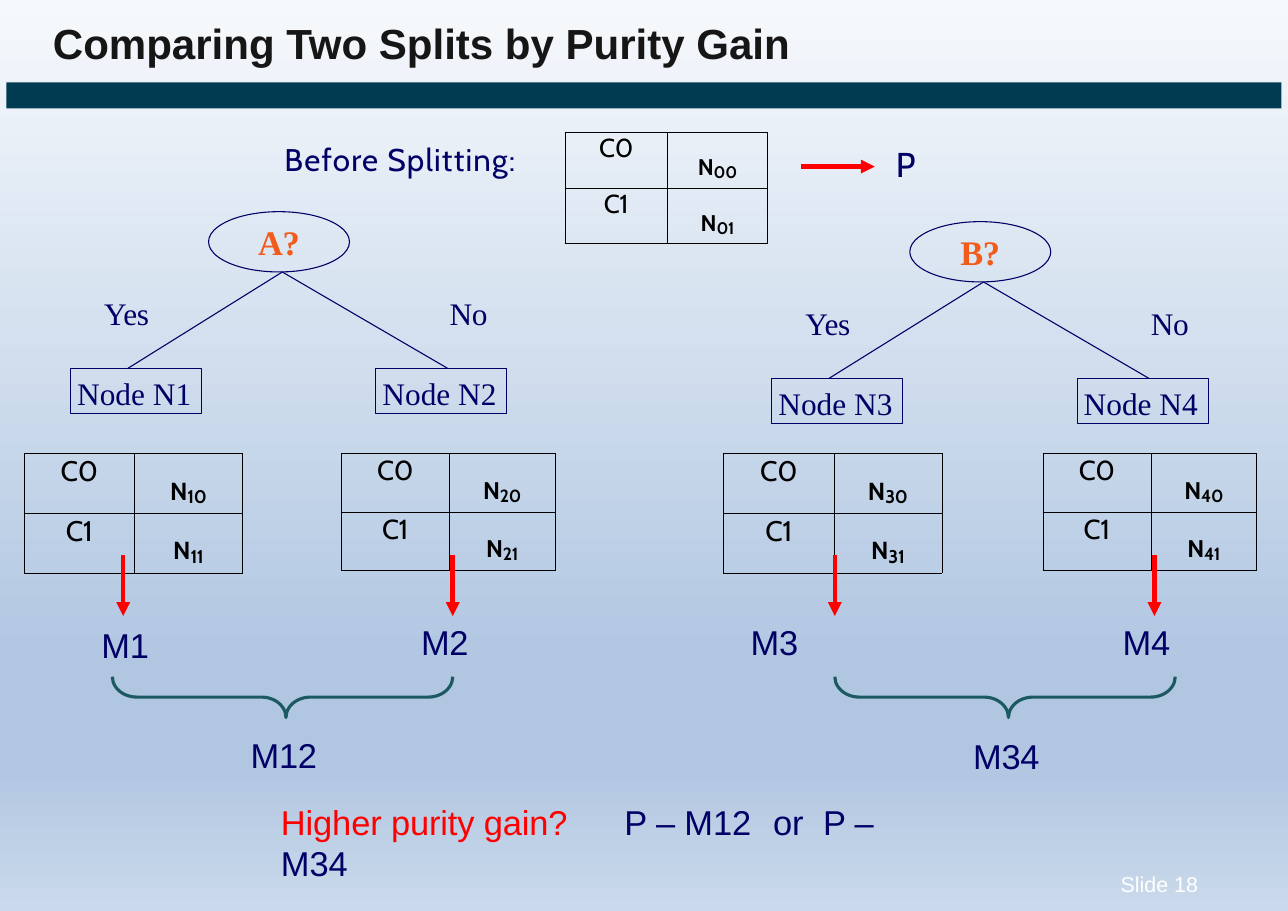
from lxml import etree
from pptx import Presentation
from pptx.dml.color import RGBColor
from pptx.enum.shapes import MSO_CONNECTOR, MSO_SHAPE
from pptx.enum.text import MSO_ANCHOR, PP_ALIGN
from pptx.oxml.ns import qn
from pptx.util import Cm, Pt

STRAIGHT = MSO_CONNECTOR.STRAIGHT
RECT, OVAL, BRACE = MSO_SHAPE.RECTANGLE, MSO_SHAPE.OVAL, MSO_SHAPE.RIGHT_BRACE
TOP, MIDDLE = MSO_ANCHOR.TOP, MSO_ANCHOR.MIDDLE
LEFT, CENTER = PP_ALIGN.LEFT, PP_ALIGN.CENTER

NAVY, RED, BLACK, WHITE = "000066", "FF0000", "000000", "FFFFFF"
ORANGE, TEAL, PETROL, INK = "F25B1A", "1C5960", "003B52", "161616"
SANS, SERIF, CABIN = "Arial", "Times New Roman", "Cabin"
BACKGROUND = [(0, "F6F9FC"), (74, "B0C6E1"), (83, "B0C6E1"), (100, "CAD9EB")]


def rgb(color):
    return RGBColor.from_string(color)


def style(r, size, font=SANS, color=NAVY, bold=False, spacing=-0.2):
    r.font.size, r.font.name, r.font.bold = Pt(size), font, bold
    r.font.color.rgb = rgb(color)
    r._r.get_or_add_rPr().set("spc", str(round(spacing * 100)))


def frame(tf, left=0.03, top=0.1, anchor=TOP):
    tf.word_wrap = True
    tf.vertical_anchor = anchor
    tf.margin_left, tf.margin_top = Cm(left), Cm(top)
    tf.margin_right = tf.margin_bottom = 0


def label(s, text, x, y, w, h=1.04, size=22.5, top=0.1, **look):
    tf = s.shapes.add_textbox(Cm(x), Cm(y), Cm(w), Cm(h)).text_frame
    frame(tf, top=top)
    tf.text = text
    style(tf.paragraphs[0].runs[0], size, **look)


def outline(s, kind, x, y, w, h, color=NAVY, width=0.72):
    sp = s.shapes.add_shape(kind, Cm(x), Cm(y), Cm(w), Cm(h))
    sp.shadow.inherit = False
    sp.fill.background()
    sp.line.color.rgb = rgb(color)
    sp.line.width = Pt(width)
    return sp


def line(s, x1, y1, x2, y2, color=NAVY, width=0.72, arrow=False):
    c = s.shapes.add_connector(STRAIGHT, Cm(x1), Cm(y1), Cm(x2), Cm(y2))
    c.line.color.rgb = rgb(color)
    c.line.width = Pt(width)
    if arrow:
        etree.SubElement(c.line._get_or_add_ln(), qn("a:tailEnd"), type="triangle")
    etree.SubElement(c._element.spPr, qn("a:effectLst"))


def gradient_background(s):
    fill = s.background.fill
    fill.gradient()
    fill.gradient_angle = 270
    stops = s._element.find(".//" + qn("a:gsLst"))
    for stop in list(stops):
        stops.remove(stop)
    for percent, color in BACKGROUND:
        stop = etree.SubElement(stops, qn("a:gs"), pos=str(percent * 1000))
        etree.SubElement(stop, qn("a:srgbClr"), val=color)


def header(s, x, y, w):
    bar = outline(s, RECT, x, y + 1.6, w, 0.6)
    bar.fill.solid()
    bar.fill.fore_color.rgb = rgb(PETROL)
    bar.line.fill.background()
    title = s.shapes.title
    title.left, title.top, title.width, title.height = Cm(x + 1.04), Cm(y), Cm(25.53), Cm(1.32)
    tf = title.text_frame
    frame(tf)
    tf.text = "Comparing Two Splits by Purity Gain"
    p = tf.paragraphs[0]
    p.alignment = LEFT
    style(p.runs[0], 27.5, color=INK, bold=True, spacing=0)


def split_tree(s, x, y, question, nodes):
    """Draw a question with its Yes and No branches leading to two nodes."""
    tf = outline(s, OVAL, x + 3.18, y, 3.25, 1.39).text_frame
    frame(tf, left=0, top=0, anchor=MIDDLE)
    tf.text = question
    tf.paragraphs[0].alignment = CENTER
    style(tf.paragraphs[0].runs[0], 22.5, SERIF, ORANGE, True)
    branches = [("Yes", 0.74, 1.32, 0), ("No", 8.71, 8.69, 7.04)]
    for node, (answer, text_x, end_x, node_x) in zip(nodes, branches):
        line(s, x + 4.88, y + 1.39, x + end_x, y + 3.61)
        label(s, answer, x + text_x, y + 1.8, 1.2, 0.97, 20.5, font=SERIF)
        tf = outline(s, RECT, x + node_x, y + 3.61, 3.02, 1.04).text_frame
        frame(tf, left=0.15, top=0.14)
        tf.text = f"Node {node}"
        tf.paragraphs[0].alignment = LEFT
        style(tf.paragraphs[0].runs[0], 20.5, SERIF, spacing=0)


def border(cell, sides):
    tcPr = cell._tc.get_or_add_tcPr()
    for side, width in sides.items():
        ln = etree.SubElement(tcPr, qn(f"a:ln{side}"), w=str(Pt(width)))
        fill = etree.SubElement(ln, qn("a:solidFill"))
        etree.SubElement(fill, qn("a:srgbClr"), val=BLACK)


def count_table(s, x, y, node, cols, rows, size, inner=0.5):
    """Draw the class counts of one node; all text sizes follow from size."""
    t = s.shapes.add_table(2, 2, Cm(x), Cm(y), Cm(sum(cols)), Cm(sum(rows))).table
    t.first_row = t.horz_banding = False
    for i in range(2):
        t.columns[i].width, t.rows[i].height = Cm(cols[i]), Cm(rows[i])
        for j in range(2):
            cell = t.cell(i, j)
            cell.margin_left = cell.margin_right = cell.margin_bottom = 0
            cell.margin_top = Cm((0.01, 0.2)[j])
            border(cell, {"L": inner if j else 0.5, "R": 0.5 if j else inner, "T": 0.5, "B": 0.5})
            cell.fill.background()
            p = cell.text_frame.paragraphs[0]
            p.alignment = CENTER
            r = p.add_run()
            if j == 0:
                r.text = f"C{i}"
                style(r, size, CABIN, BLACK)
                continue
            r.text = "N"
            style(r, size * 1.5, CABIN, BLACK, True, -0.4)
            r._r.get_or_add_rPr().set("baseline", "8000")
            r = p.add_run()
            r.text = f"{node}{i}"
            style(r, round(size * 1.3) / 2, CABIN, BLACK, True)


def before_splitting(s, x, y):
    label(s, "Before Splitting:", x, y + 0.07, 5.9, 0.97, 20.5, font=CABIN, spacing=0.8)
    count_table(s, x + 6.5, y, 0, (2.36, 2.31), (0.86, 0.91), 17, inner=1)
    line(s, x + 11.94, y + 0.79, x + 13.64, y + 0.79, RED, 3, arrow=True)
    label(s, "P", x + 14.1, y + 0.15, 0.8, font=CABIN)


def brace(s, x, y, w, h):
    """Draw a brace that opens upward and points down."""
    sp = outline(s, BRACE, x + (w - h) / 2, y + (h - w) / 2, h, w, TEAL, 2.04)
    sp.rotation = 90
    sp.adjustments[0], sp.adjustments[1] = 0.6, 0.49


def measures(s, y):
    for x, text_x, text_y, name in [(2.84, 2.31, 1.48, "M1"), (10.44, 9.68, 1.42, "M2"),
                                    (19.25, 17.28, 1.42, "M3"), (26.62, 25.86, 1.42, "M4")]:
        line(s, x, y, x, y + 1.4, RED, 3, arrow=True)
        label(s, name, text_x, y + text_y, 1.3)
    for x, name, text_y in [(2.59, "M12", 4.02), (19.25, "M34", 4.04)]:
        brace(s, x, y + 2.8, 7.85, 0.94)
        label(s, name, x + 3.16, y + text_y, 1.8)


def conclusion(s, x, y, w, h):
    tf = s.shapes.add_textbox(Cm(x), Cm(y), Cm(w), Cm(h)).text_frame
    frame(tf, left=0)
    p = tf.paragraphs[0]
    tabs = etree.SubElement(p._p.get_or_add_pPr(), qn("a:tabLst"))
    for pos in (7.92, 11.35, 12.5):
        etree.SubElement(tabs, qn("a:tab"), pos=str(Cm(pos)), algn="l")
    for text, color in [("Higher purity gain?\t", RED), ("P – M12\tor\tP – M34", NAVY)]:
        r = p.add_run()
        r.text = text
        style(r, 22.5, color=color, spacing=-0.1)


def main():
    prs = Presentation()
    prs.slide_width, prs.slide_height = Cm(29.7), Cm(21)
    s = prs.slides.add_slide(prs.slide_layouts[5])
    gradient_background(s)
    header(s, 0.15, 0.3, 29.4)
    before_splitting(s, 6.53, 3.05)
    split_tree(s, 1.63, 4.88, "A?", ("N1", "N2"))
    split_tree(s, 17.8, 5.11, "B?", ("N3", "N4"))
    wide = (2.54, 2.49), (0.94, 0.99), 18.5
    narrow = (2.49, 2.44), (0.91, 0.97), 18
    count_table(s, 0.56, 10.46, 1, *wide)
    count_table(s, 7.87, 10.46, 2, *narrow, inner=1)
    count_table(s, 16.69, 10.46, 3, *wide)
    count_table(s, 24.05, 10.46, 4, *narrow)
    measures(s, 12.8)
    conclusion(s, 6.48, 18.36, 14.78, 2)
    label(s, "Slide 18", 25.81, 20.07, 2.2, 0.61, 14, top=0, color=WHITE, spacing=0)
    prs.save("out.pptx")


if __name__ == "__main__":
    main()
